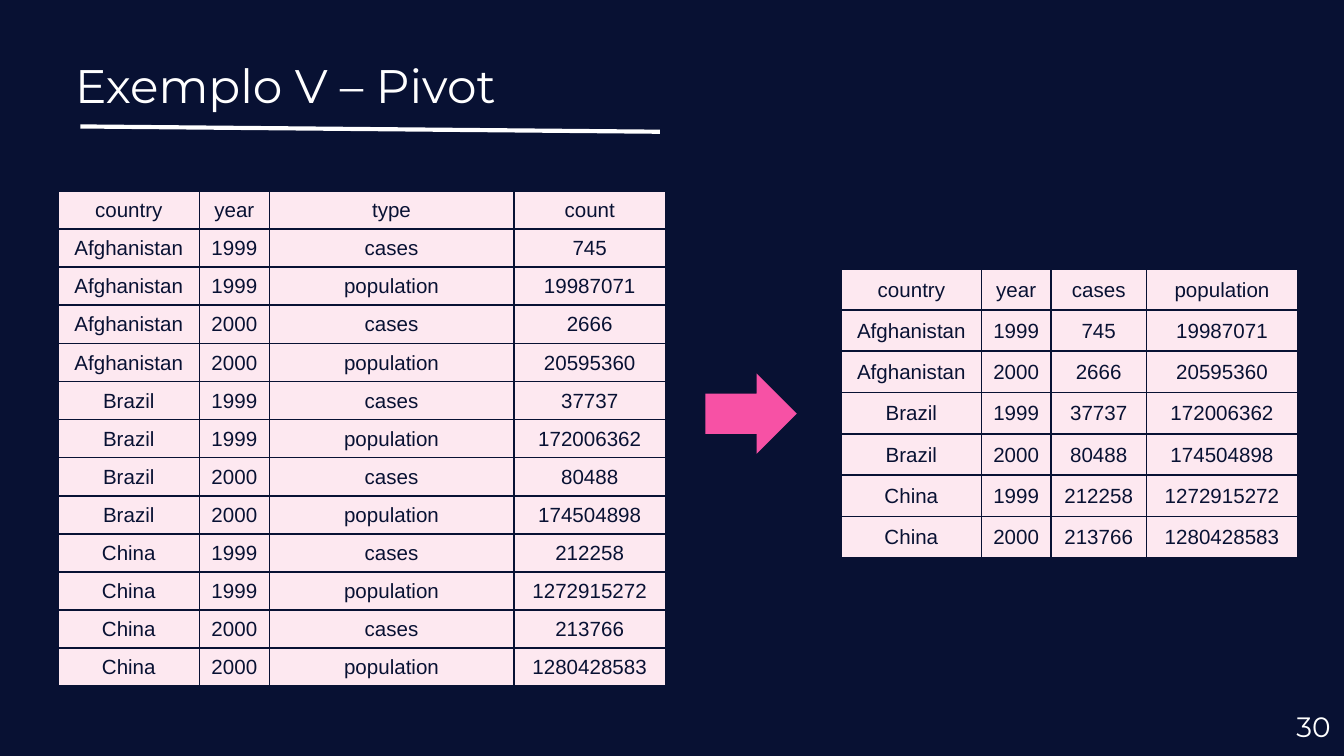
from lxml import etree
from pptx import Presentation
from pptx import util as u
from pptx.dml.color import RGBColor
from pptx.enum import shapes, text
from pptx.oxml.ns import qn

NAVY = RGBColor(0x08, 0x11, 0x33)
WHITE = RGBColor(0xFF, 0xFF, 0xFF)
BLUSH = RGBColor(0xFD, 0xE8, 0xF0)
PINK = RGBColor(0xF7, 0x51, 0xA5)

WIDE_HEADER = ("country", "year", "cases", "population")
WIDE_ROWS = [
    ("Afghanistan", "1999", "745", "19987071"),
    ("Afghanistan", "2000", "2666", "20595360"),
    ("Brazil", "1999", "37737", "172006362"),
    ("Brazil", "2000", "80488", "174504898"),
    ("China", "1999", "212258", "1272915272"),
    ("China", "2000", "213766", "1280428583"),
]


def unpivot(rows):
    """Turn each wide row into one row for cases and one for population."""
    return [(country, year, kind, count)
            for country, year, *counts in rows
            for kind, count in zip(WIDE_HEADER[2:], counts)]


class Deck:
    heading_font = "Montserrat"
    table_font = "Arial"

    def __init__(self):
        self.prs = Presentation()
        self.prs.slide_width, self.prs.slide_height = u.Cm(25.4), u.Cm(14.29)
        self.s = self.prs.slides.add_slide(self.prs.slide_layouts[5])
        fill = self.s.background.fill
        fill.solid()
        fill.fore_color.rgb = NAVY

    def run(self, p, words, size, font, color):
        r = p.add_run()
        r.text = words
        r.font.size, r.font.name = u.Pt(size), font
        r.font.color.rgb = color

    def frame(self, sp, words, size, align, anchor):
        tf = sp.text_frame
        tf.word_wrap, tf.auto_size = True, text.MSO_AUTO_SIZE.NONE
        tf.vertical_anchor = anchor
        tf.margin_left = tf.margin_right = u.Cm(0.25)
        tf.margin_top = tf.margin_bottom = u.Cm(0.25)
        p = tf.paragraphs[0]
        p.alignment = align
        self.run(p, words, size, self.heading_font, WHITE)

    def title(self, words, x, y, w, h):
        sp = self.s.shapes.title
        sp.left, sp.top, sp.width, sp.height = map(u.Cm, (x, y, w, h))
        self.frame(sp, words, 25.2, text.PP_ALIGN.LEFT, text.MSO_ANCHOR.TOP)

    def page_number(self, words, x, y, w, h):
        sp = self.s.shapes.add_textbox(*map(u.Cm, (x, y, w, h)))
        self.frame(sp, words, 15, text.PP_ALIGN.RIGHT, text.MSO_ANCHOR.MIDDLE)

    def line(self, x1, y1, x2, y2):
        sp = self.s.shapes.add_connector(
            shapes.MSO_CONNECTOR.STRAIGHT, *map(u.Cm, (x1, y1, x2, y2)))
        sp.line.color.rgb, sp.line.width = WHITE, u.Pt(2.25)
        etree.SubElement(sp._element.spPr, qn("a:effectLst"))

    def arrow(self, x, y, w, h):
        sp = self.s.shapes.add_shape(
            shapes.MSO_SHAPE.RIGHT_ARROW, *map(u.Cm, (x, y, w, h)))
        sp.shadow.inherit = False
        sp.fill.solid()
        sp.fill.fore_color.rgb = PINK
        sp.line.fill.background()

    def borders(self, cell):
        tc_pr = cell._tc.get_or_add_tcPr()
        for i, side in enumerate(("lnL", "lnR", "lnT", "lnB")):
            ln = etree.Element(qn(f"a:{side}"), w=str(u.Pt(1)))
            fill = etree.SubElement(ln, qn("a:solidFill"))
            etree.SubElement(fill, qn("a:srgbClr"), val=str(NAVY))
            tc_pr.insert(i, ln)

    def table(self, rows, x, y, widths, row_height):
        size = (sum(widths), row_height * len(rows))
        table = self.s.shapes.add_table(
            len(rows), len(widths), *map(u.Cm, (x, y, *size))).table
        for column, width in zip(table.columns, widths):
            column.width = u.Cm(width)
        for i, row in enumerate(rows):
            table.rows[i].height = u.Cm(row_height)
            for j, words in enumerate(row):
                self.cell(table.cell(i, j), words)

    def cell(self, cell, words):
        cell.fill.solid()
        cell.fill.fore_color.rgb = BLUSH
        cell.vertical_anchor = text.MSO_ANCHOR.MIDDLE
        cell.margin_left = cell.margin_right = cell.margin_top = u.Cm(0.02)
        cell.margin_bottom = 0
        p = cell.text_frame.paragraphs[0]
        p.alignment = text.PP_ALIGN.CENTER
        self.run(p, words, 11, self.table_font, NAVY)
        self.borders(cell)


def main():
    deck = Deck()
    deck.line(1.52, 2.39, 12.47, 2.49)
    deck.title("Exemplo V – Pivot", 1.17, 0.81, 23.67, 1.6)
    deck.page_number("30", 23.88, 13.18, 1.52, 1.1)
    deck.table([WIDE_HEADER] + WIDE_ROWS,
               15.9, 5.08, (2.65, 1.31, 1.81, 2.85), 0.78)
    deck.arrow(13.33, 7.06, 1.73, 1.52)
    deck.table([("country", "year", "type", "count")] + unpivot(WIDE_ROWS),
               1.1, 3.61, (2.67, 1.32, 4.62, 2.87), 0.72)
    deck.prs.save("out.pptx")


if __name__ == "__main__":
    main()
